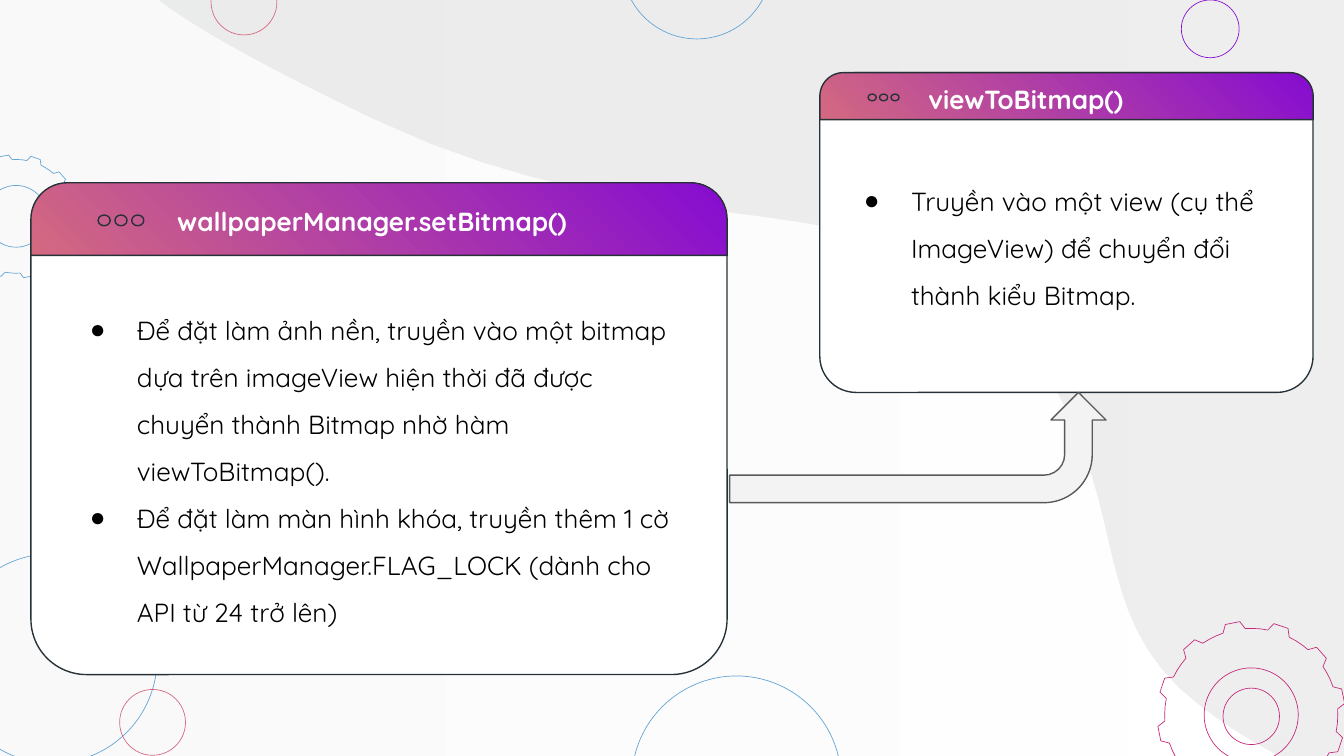
from math import cos, radians, sin

from lxml import etree
from pptx import Presentation
from pptx import util as u
from pptx.dml import color
from pptx.enum import shapes, text
from pptx.oxml import ns

SHAPE = shapes.MSO_SHAPE
INK, BLUE, PINK, PLUM, ROSE = "263238", "63A4D5", "D36980", "860CD1", "C52878"


def rgb(code):
    """Turn a hex string into a colour."""
    return color.RGBColor.from_string(code)


def curve(start, parts, steps=16):
    """Trace points along a chain of cubic Bezier parts."""
    dots = [start]
    for a, b, end in parts:
        for i in range(1, steps + 1):
            t = i / steps
            s = 1 - t
            dots.append(tuple(
                s**3 * p + 3 * s * s * t * q + 3 * s * t * t * r + t**3 * e
                for p, q, r, e in zip(start, a, b, end)))
        start = end
    return dots


class Deck:
    """Hold the style and the current slide."""

    font = {"name": "Quicksand", "size": u.Pt(14)}
    frame = {"word_wrap": True, "auto_size": text.MSO_AUTO_SIZE.SHAPE_TO_FIT_TEXT,
             "margin_left": u.Inches(0.1), "margin_right": u.Inches(0.1),
             "margin_top": u.Inches(0.1), "margin_bottom": u.Inches(0.1)}

    def __init__(self):
        """Open a deck with one blank slide."""
        self.prs = Presentation()
        self.prs.slide_width = u.Inches(10)
        self.prs.slide_height = u.Inches(10 * 9 / 16)
        self.slide = self.prs.slides.add_slide(self.prs.slide_layouts[6])

    def paint(self, shape, fill=None, line=None, width=0.75, angle=0, alpha=None):
        """Set the fill, line and transparency of a shape."""
        shape.shadow.inherit = False
        if isinstance(fill, tuple):
            shape.fill.gradient()
            shape.fill.gradient_angle = angle
            for stop, code in zip(shape.fill.gradient_stops, fill):
                stop.color.rgb = rgb(code)
        elif fill:
            shape.fill.solid()
            shape.fill.fore_color.rgb = rgb(fill)
        else:
            shape.fill.background()
        if alpha:
            for clr in shape.element.spPr.iter(ns.qn("a:srgbClr")):
                etree.SubElement(clr, ns.qn("a:alpha"), val=str(alpha * 1000))
        if line:
            shape.line.color.rgb = rgb(line)
            shape.line.width = u.Pt(width)
        else:
            shape.line.fill.background()

    def block(self, kind, box, adj=(), turn=0, **look):
        """Add a preset shape."""
        shape = self.slide.shapes.add_shape(kind, *map(u.Inches, box))
        for i, value in enumerate(adj):
            shape.adjustments[i] = value
        shape.rotation = turn
        self.paint(shape, **look)
        return shape

    def outline(self, dots, **look):
        """Add a closed free outline."""
        first, *rest = [tuple(map(u.Inches, dot)) for dot in dots]
        pen = self.slide.shapes.build_freeform(*first)
        pen.add_line_segments(rest, close=True)
        self.paint(pen.convert_to_shape(), **look)

    def ring(self, x, y, size, line):
        """Add a thin circle."""
        self.block(SHAPE.OVAL, (x, y, size, size), line=line, width=0.36)

    def gear(self, x, y, size, line):
        """Add a gear of twelve teeth with a round hole."""
        tooth = ((4, 0.92), (7, 1), (16, 1), (19, 0.92), (24, 0.92), (29, 0.92))
        dots = [(x + size * r * cos(radians(30 * i + a)),
                 y - size * r * sin(radians(30 * i + a)))
                for i in range(12) for a, r in tooth]
        self.outline(dots, line=line, width=0.36)
        self.ring(x - size / 2, y - size / 2, size, line)

    def words(self, box, lines, ink, bold=False, bullet=False):
        """Add a text box, with bullets if wanted."""
        area = self.slide.shapes.add_textbox(*map(u.Inches, box)).text_frame
        for key, value in self.frame.items():
            setattr(area, key, value)
        for i, line in enumerate(lines):
            para = area.paragraphs[0] if i == 0 else area.add_paragraph()
            if bullet:
                self.mark(para, ink)
            run = para.add_run()
            run.text = line
            for key, value in {**self.font, "bold": bold}.items():
                setattr(run.font, key, value)
            run.font.color.rgb = rgb(ink)

    def mark(self, para, ink):
        """Give a paragraph a hanging bullet."""
        props = para._p.get_or_add_pPr()
        props.set("marL", str(u.Inches(0.5)))
        props.set("indent", str(u.Inches(-0.35)))
        tint = etree.SubElement(props, ns.qn("a:buClr"))
        etree.SubElement(tint, ns.qn("a:srgbClr"), val=ink)
        etree.SubElement(props, ns.qn("a:buFont"), typeface="Arial")
        etree.SubElement(props, ns.qn("a:buChar"), char="●")
        para.line_spacing = 1.5

    def card(self, box, bar, dots, head, title, body, lines):
        """Add a window card with its bar, dots, title and bullets."""
        x, y, wide, _ = box
        self.block(SHAPE.ROUNDED_RECTANGLE, box, (0.113,), fill="FFFFFF", line=INK)
        self.block(SHAPE.ROUND_2_SAME_RECTANGLE, (x, y, wide, bar), (0, 0.5), 180,
                   fill=(PINK, PLUM), line=INK, angle=225)
        self.words(body, lines, "000000", bullet=True)
        self.words(head, [title], "FFFFFF", bold=True)
        left, top, w, h, step = dots
        for i in range(3):
            self.block(SHAPE.OVAL, (left + i * step, top, w, h), line=INK)

    def arrow(self, box):
        """Add the bent arrow that points up."""
        shape = self.block(SHAPE.BENT_ARROW, box, (0.25, 0.25, 0.25, 0.438), 90,
                           fill="F3F3F3", line="595959")
        shape.element.spPr.xfrm.set("flipH", "1")


def main():
    """Build the slide and save it."""
    deck = Deck()
    deck.block(SHAPE.RECTANGLE, (-0.07, -0.07, 10.14, 5.77),
               fill=("FFFFFF", "F3F3F3"), angle=180, alpha=41)
    wave = curve((10.13, 5.88), [
        ((9.81, 5.78), (9.39, 5.6), (8.94, 5.26)),
        ((8, 4.55), (8.51, 3.69), (7.57, 2.46)),
        ((6.62, 1.23), (5.02, 1.95), (2.79, 0.89)),
        ((1.76, 0.4), (1.28, 0.1), (1.07, -0.09))])
    deck.outline([(1.07, -0.25), (10.28, -0.25), (10.28, 5.88), *wave],
                 fill="D6D7D7", alpha=41)
    for ring in ((-0.39, 4.12, 1.56, BLUE), (8.79, 0, 0.43, PLUM),
                 (1.57, -0.23, 0.49, PINK), (4.63, -0.82, 1.11, BLUE),
                 (4.7, 5.03, 1.56, BLUE), (0.89, 5.13, 0.49, PINK)):
        deck.ring(*ring)
    deck.gear(0.12, 1.61, 0.46, BLUE)
    deck.gear(9.31, 5.32, 0.7, ROSE)
    deck.ring(9.1, 5.12, 0.42, ROSE)
    deck.card((0.23, 1.36, 5.18, 3.66), 0.54, (0.73, 1.6, 0.09, 0.08, 0.125),
              (1.22, 1.43, 3.73, 0.44), "wallpaperManager.setBitmap()",
              (0.42, 2.12, 4.74, 2.56), [
                  "Để đặt làm ảnh nền, truyền vào một bitmap dựa trên imageView "
                  "hiện thời đã được chuyển thành Bitmap nhờ hàm viewToBitmap().",
                  "Để đặt làm màn hình khóa, truyền thêm 1 cờ "
                  "WallpaperManager.FLAG_LOCK (dành cho API từ 24 trở lên)"])
    deck.card((6.1, 0.54, 3.67, 2.38), 0.35, (6.46, 0.7, 0.06, 0.05, 0.085),
              (6.81, 0.52, 2.64, 0.44), "viewToBitmap()",
              (6.18, 1.16, 3.52, 1.14), [
                  "Truyền vào một view (cụ thể ImageView) để chuyển đổi "
                  "thành kiểu Bitmap."])
    deck.arrow((6.42, 1.93, 0.82, 2.8))
    deck.prs.save("out.pptx")


if __name__ == "__main__":
    main()
